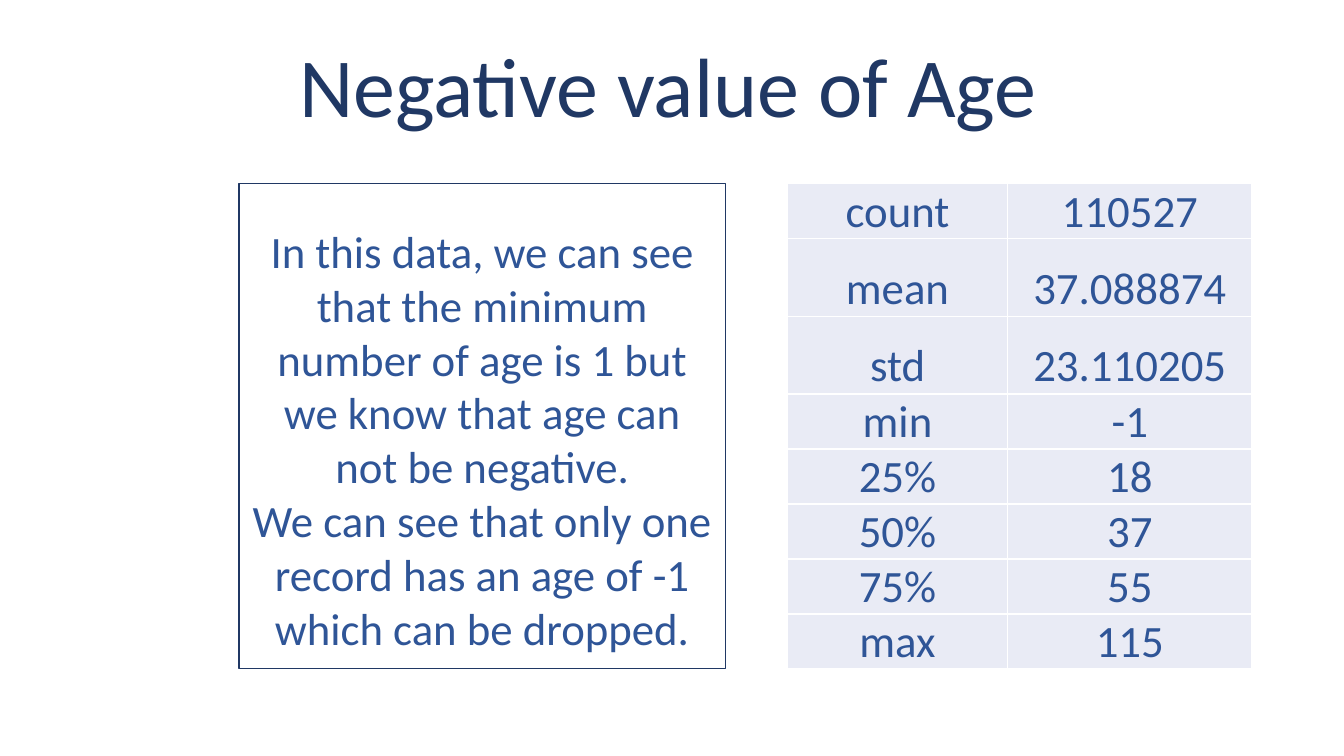
from lxml import etree
from pptx import Presentation
from pptx.dml.color import RGBColor
from pptx.enum.shapes import MSO_SHAPE
from pptx.enum.text import MSO_ANCHOR, PP_ALIGN
from pptx.oxml.ns import qn
from pptx.util import Cm, Pt

RECT = MSO_SHAPE.RECTANGLE
TOP, BOTTOM = MSO_ANCHOR.TOP, MSO_ANCHOR.BOTTOM
CENTER = PP_ALIGN.CENTER
FONT = "Calibri"
COLORS = {"navy": "203864", "blue": "2F5597", "pale": "E9EBF5", "white": "FFFFFF"}

STATS = [
    ("count", "110527"),
    ("mean", "37.088874"),
    ("std", "23.110205"),
    ("min", "-1"),
    ("25%", "18"),
    ("50%", "37"),
    ("75%", "55"),
    ("max", "115"),
]
TALL = ("mean", "std")
NOTE = (
    "In this data, we can see that the minimum number of age is 1 "
    "but we know that age can not be negative.\v"
    "We can see that only one record has an age of -1 which can be dropped."
)


class Page:
    def __init__(self, deck):
        self.slide = deck.slides.add_slide(deck.slide_layouts[6])
        self.shapes = self.slide.shapes

    def color(self, name):
        return RGBColor.from_string(COLORS[name])

    def paint(self, item, name):
        item.fill.solid()
        item.fill.fore_color.rgb = self.color(name)

    def label(self, frame, text, size, name):
        frame.text = text
        for para in frame.paragraphs:
            para.alignment = CENTER
            for run in para.runs:
                run.font.name = FONT
                run.font.size = Pt(size)
                run.font.color.rgb = self.color(name)

    def title(self, text, left, top, width, height):
        box = self.shapes.add_textbox(Cm(left), Cm(top), Cm(width), Cm(height))
        frame = box.text_frame
        frame.word_wrap = True
        frame.vertical_anchor = TOP
        frame.margin_top = 0
        self.label(frame, text, 60, "navy")
        frame.paragraphs[0].line_spacing = 0.9

    def panel(self, text, left, top, width, height):
        box = self.shapes.add_shape(RECT, Cm(left), Cm(top), Cm(width), Cm(height))
        box.shadow.inherit = False
        self.paint(box, "white")
        box.line.color.rgb = self.color("navy")
        box.line.width = Pt(1)
        frame = box.text_frame
        frame.word_wrap = True
        frame.vertical_anchor = TOP
        frame.margin_top = Cm(1.02)
        frame.margin_bottom = 0
        self.label(frame, text, 32, "blue")

    def border(self, cell):
        props = cell._tc.get_or_add_tcPr()
        for spot, side in enumerate(("a:lnL", "a:lnR", "a:lnT", "a:lnB")):
            line = etree.Element(qn(side), w=str(Pt(1)))
            fill = etree.SubElement(line, qn("a:solidFill"))
            etree.SubElement(fill, qn("a:srgbClr"), val=COLORS["white"])
            props.insert(spot, line)

    def table(self, data, left, top, widths, height):
        frame = self.shapes.add_table(
            len(data), len(widths), Cm(left), Cm(top), Cm(sum(widths)), Cm(height)
        )
        grid = frame.table
        grid.first_row = False
        grid.horz_banding = False
        for col, width in zip(grid.columns, widths):
            col.width = Cm(width)
        for row, values in zip(grid.rows, data):
            row.height = Cm(1.96 if values[0] in TALL else 0.99)
            for cell, value in zip(row.cells, values):
                cell.vertical_anchor = BOTTOM
                cell.margin_left = cell.margin_right = cell.margin_top = Cm(0.03)
                cell.margin_bottom = 0
                self.paint(cell, "pale")
                self.label(cell.text_frame, value, 32, "blue")
                self.border(cell)
        frame.height = Cm(height)


def main():
    deck = Presentation()
    deck.slide_width = Cm(33.87)
    deck.slide_height = Cm(19.05)
    page = Page(deck)
    page.title("Negative value of Age", 2.11, 1.14, 29.44, 3.56)
    page.table(STATS, 19.84, 4.62, (5.56, 6.15), 12.22)
    page.panel(NOTE, 6.02, 4.62, 12.27, 12.22)
    deck.save("out.pptx")


if __name__ == "__main__":
    main()
